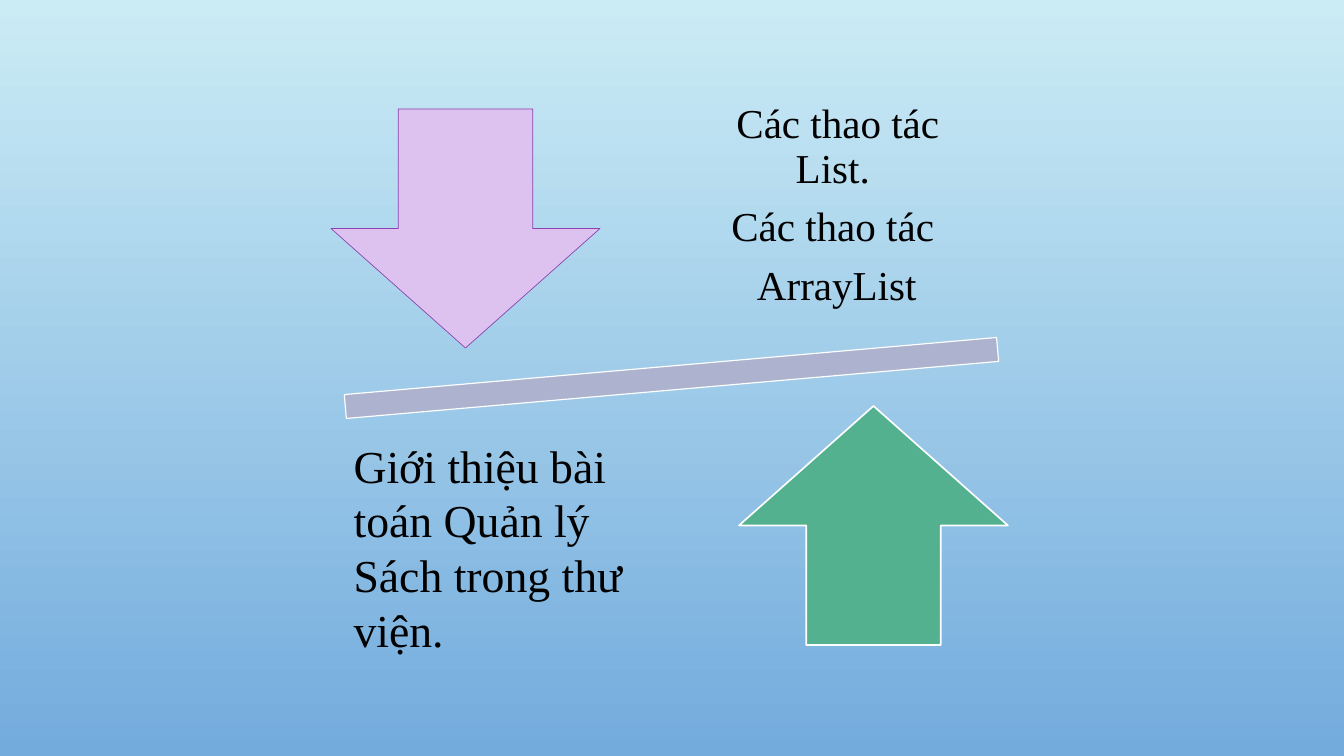
from pptx import Presentation
from pptx.dml.color import RGBColor
from pptx.enum.shapes import MSO_SHAPE as Shape
from pptx.enum.text import MSO_ANCHOR as Anchor, PP_ALIGN as Align
from pptx.util import Pt

PX = 914400 / 67.2  # EMU per px
FONT = "Times New Roman"
COLORS = {
    "sky_top": "CBECF5", "sky_bottom": "73ABDD",
    "bar": "ADB3CF", "down": "DDC1EF", "down_line": "8B42AE",
    "up": "53B18F", "white": "FFFFFF", "text": "000000",
}

# Content: preset, box in px, rotation, fill, line colour, line width in pt
BALANCE = [
    (Shape.MATH_MINUS, (226, 327, 891, 102), 355, "bar", "white", 1.25),
    (Shape.DOWN_ARROW, (331, 109, 269, 239), 0, "down", "down_line", 0.75),
    (Shape.UP_ARROW, (739, 406, 269, 239), 0, "up", "white", 1.75),
]
OPERATIONS = ["Các thao tác List. ", "Các thao tác ", " ArrayList "]
INTRODUCTION = ["Giới thiệu bài toán Quản lý Sách trong thư viện."]


def px(value):
    return round(value * PX)


def color(name):
    return RGBColor.from_string(COLORS[name])


def add_shape(slide, preset, box, rotation, fill, line, width):
    shape = slide.shapes.add_shape(preset, *map(px, box))
    shape.rotation = rotation
    shape.shadow.inherit = False
    shape.fill.solid()
    shape.fill.fore_color.rgb = color(fill)
    shape.line.color.rgb = color(line)
    shape.line.width = Pt(width)


def add_text(slide, box, lines, size, align=Align.LEFT, spacing=1.0, after=0,
             anchor=Anchor.TOP, inset=None):
    frame = slide.shapes.add_textbox(*map(px, box)).text_frame
    frame.word_wrap = True
    frame.vertical_anchor = anchor
    if inset is not None:
        frame.margin_left = frame.margin_right = px(inset)
        frame.margin_top = frame.margin_bottom = px(inset)
    frame.text = "\n".join(lines)
    for paragraph in frame.paragraphs:
        paragraph.alignment = align
        paragraph.line_spacing = spacing
        paragraph.space_after = Pt(after)
        paragraph.font.name = FONT
        paragraph.font.size = Pt(size)
        paragraph.font.color.rgb = color("text")


def main():
    presentation = Presentation()
    presentation.slide_width, presentation.slide_height = px(1344), px(756)
    slide = presentation.slides.add_slide(presentation.slide_layouts[6])

    # Background, light at the top
    fill = slide.background.fill
    fill.gradient()
    fill.gradient_angle = 270
    for stop, position, name in zip(fill.gradient_stops, (0, 1), ("sky_top", "sky_bottom")):
        stop.position = position
        stop.color.rgb = color(name)

    # Tilted bar and the two arrows
    for item in BALANCE:
        add_shape(slide, *item)

    # Texts beside the arrows
    add_text(slide, (679, 81, 318, 251), OPERATIONS, 44, Align.CENTER,
             spacing=0.9, after=15.4, anchor=Anchor.MIDDLE, inset=23)
    add_text(slide, (347, 434, 286, 249), INTRODUCTION, 49)

    presentation.save("out.pptx")


if __name__ == "__main__":
    main()
